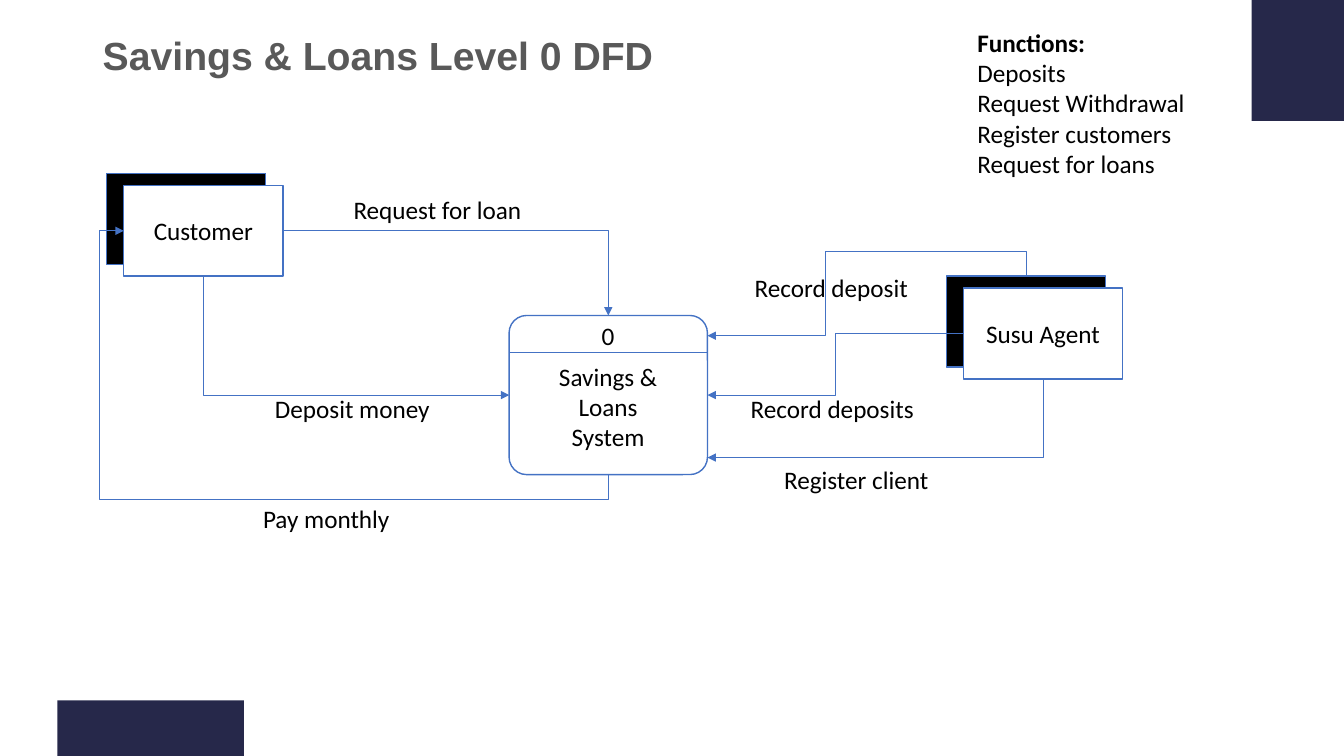
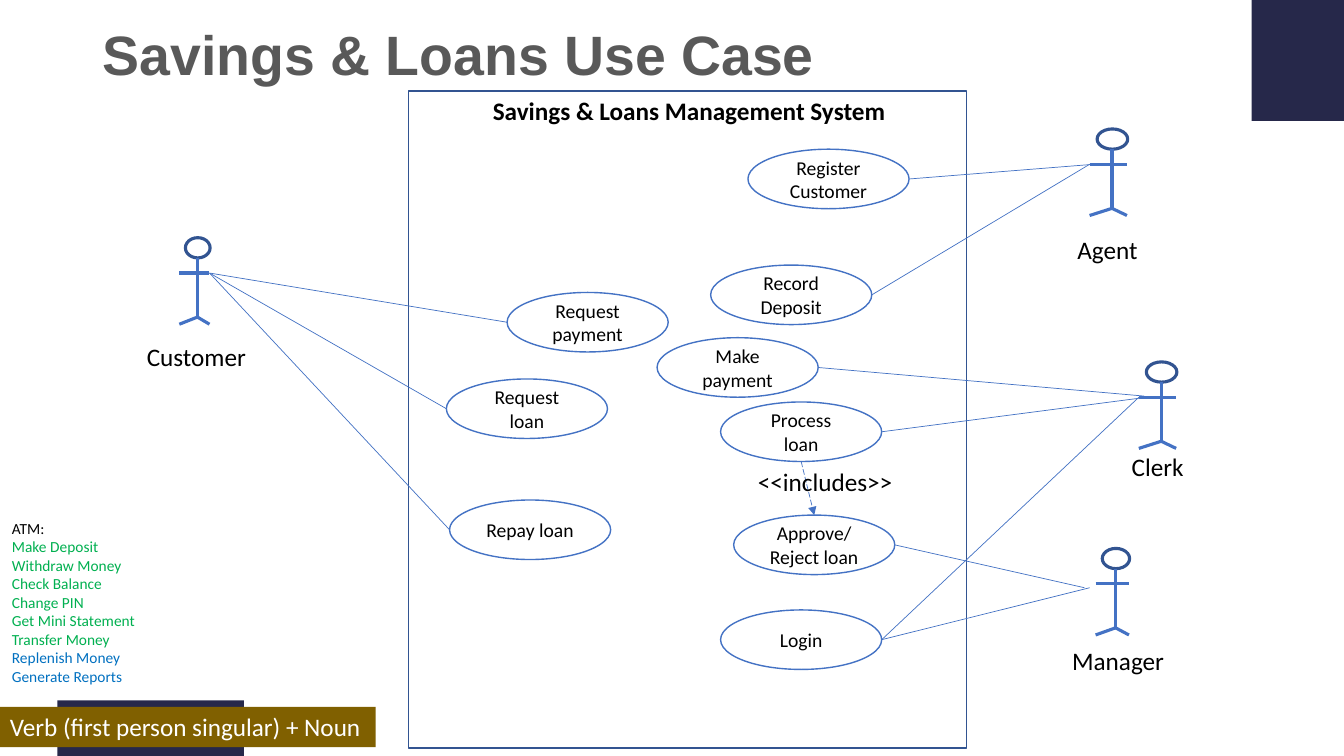
from dataclasses import dataclass

from lxml import etree
from pptx import Presentation, util as u
from pptx.dml import color
from pptx.enum import dml, shapes, text
from pptx.oxml import ns


@dataclass(frozen=True)
class Theme:
    """Colours, fonts and sizes shared by the slides."""
    navy: str = "26284A"
    grey: str = "595959"
    blue: str = "4472C4"
    dark_blue: str = "325491"
    black: str = "000000"
    white: str = "FFFFFF"
    olive: str = "806000"
    green: str = "00B050"
    sky: str = "0070C0"
    heading: str = "Arial"
    body: str = "Calibri"
    normal: float = 18
    small: float = 14
    tiny: float = 11
    thin: float = 0.5
    outline: float = 1
    thick: float = 2.25


THEME = Theme()
CENTRE = text.PP_ALIGN.CENTER
TOP, LEFT, BOTTOM, RIGHT = range(4)
BOX_SIZE = (4.01, 2.29)
CASE_SIZE = (4.06, 1.5)

FUNCTIONS = ["Deposits", "Request Withdrawal", "Register customers", "Request for loans"]
FLOW_LABELS = [
    ("Deposit money", 6.68, 9.78, 4.47),
    ("Request for loan", 8.66, 4.78, 4.8),
    ("Pay monthly", 6.38, 12.57, 3.73),
    ("Record deposits", 18.67, 9.78, 4.67),
    ("Record deposit", 18.77, 6.73, 4.42),
    ("Register client", 19.51, 11.58, 4.19),
]
ACTORS = [
    ("Customer", (4.52, 5.99, 0.76), (3.45, 8.48, 3.18)),
    ("Clerk", (28.7, 9.12, 0.94), (28.27, 11.25, 1.98)),
    ("Manager", (27.61, 13.82, 0.84), (26.77, 16.13, 3)),
    ("Agent", (27.46, 3.25, 0.94), (26.9, 5.77, 2.18)),
]
CUSTOMER_HAND = (5.28, 6.88)
USE_CASES = [
    ("Register Customer", 18.85, 3.76, RIGHT, [(27.56, 4.14)]),
    ("Record Deposit", 17.91, 6.68, RIGHT, [(27.46, 4.14)]),
    ("Request loan", 11.25, 9.55, LEFT, [CUSTOMER_HAND]),
    ("Request payment", 12.78, 7.37, LEFT, [CUSTOMER_HAND]),
    ("Process loan", 18.16, 10.13, RIGHT, [(28.9, 10.01)]),
    ("Approve/Reject loan", 18.49, 12.98, RIGHT, [(27.33, 14.81)]),
    ("Login", 18.16, 15.37, RIGHT, [(28.7, 10.01), (27.46, 14.81)]),
    ("Repay loan", 11.33, 12.6, LEFT, [CUSTOMER_HAND]),
    ("Make payment", 16.56, 8.51, RIGHT, [(28.83, 9.98)]),
]
ATM_CUSTOMER = ["Make Deposit", "Withdraw Money", "Check Balance", "Change PIN",
                "Get Mini Statement", "Transfer Money"]
ATM_STAFF = ["Replenish Money", "Generate Reports"]


def apply(target, values):
    """Set each named attribute on the target."""
    for name, value in values.items():
        setattr(target, name, value)


def rgb(value):
    """Return a colour object for a hex value."""
    return color.RGBColor.from_string(value)


def cm(*lengths):
    """Convert centimetre numbers to lengths."""
    return [u.Cm(length) for length in lengths]


def write(shape, lines, size=THEME.normal, font=THEME.body, align=None, spacing=None, **frame):
    """Write (words, colour, bold) lines into a shape, one paragraph each."""
    apply(shape.text_frame, frame)
    for index, (words, ink, bold) in enumerate(lines):
        paragraphs = shape.text_frame.paragraphs
        paragraph = shape.text_frame.add_paragraph() if index else paragraphs[0]
        apply(paragraph, {"alignment": align, "line_spacing": spacing})
        run = paragraph.add_run()
        run.text = words
        apply(run.font, {"size": u.Pt(size), "name": font, "bold": bold})
        run.font.color.rgb = rgb(ink)


def draw_shape(canvas, kind, box, fill, line=None, width=THEME.outline):
    """Draw a flat preset shape."""
    shape = canvas.add_shape(kind, *cm(*box))
    shape.shadow.inherit = False
    shape.fill.solid()
    shape.fill.fore_color.rgb = rgb(fill)
    if line:
        shape.line.color.rgb = rgb(line)
        shape.line.width = u.Pt(width)
    else:
        shape.line.fill.background()
    return shape


def write_centred(shape, words, size=THEME.normal):
    """Put black centred words in the middle of a shape."""
    write(shape, [(words, THEME.black, False)], size, align=CENTRE,
          word_wrap=True, vertical_anchor=text.MSO_ANCHOR.MIDDLE)


def add_label(slide, lines, left, top, width, height=1.02, size=THEME.normal):
    """Add an unwrapped text box; a plain string is one black line."""
    if isinstance(lines, str):
        lines = [(lines, THEME.black, False)]
    box = slide.shapes.add_textbox(*cm(left, top, width, height))
    write(box, lines, size, word_wrap=False, auto_size=text.MSO_AUTO_SIZE.SHAPE_TO_FIT_TEXT)


def style_line(connector, width=THEME.thin, arrow=False, dash=None):
    """Give a connector its colour, width, dash and arrowhead."""
    apply(connector.line, {"width": u.Pt(width), "dash_style": dash})
    connector.line.color.rgb = rgb(THEME.blue)
    properties = connector.element.spPr
    if arrow:
        etree.SubElement(properties.find(ns.qn("a:ln")), ns.qn("a:tailEnd"), type="triangle")
    etree.SubElement(properties, ns.qn("a:effectLst"))


def draw_line(canvas, begin, end, **style):
    """Draw a straight line between two points."""
    connector = canvas.add_connector(shapes.MSO_CONNECTOR.STRAIGHT, *cm(*begin, *end))
    style_line(connector, **style)


def side_point(shape, side):
    """Return the middle of a shape's side."""
    across = {LEFT: 0, RIGHT: 1}.get(side, 0.5)
    down = {TOP: 0, BOTTOM: 1}.get(side, 0.5)
    return int(shape.left + across * shape.width), int(shape.top + down * shape.height)


def draw_elbow(slide, source, target, bends, rotation=0, flip="", adjust=()):
    """Draw an arrow with bends from a (shape, side) to a (shape, side) or a point."""
    begin = side_point(*source)
    joined = not isinstance(target[0], (int, float))
    end = side_point(*target) if joined else cm(*target)
    connector = slide.shapes.add_connector(shapes.MSO_CONNECTOR.ELBOW, *begin, *end)
    connector.begin_connect(*source)
    if joined:
        connector.end_connect(*target)
    width, height = abs(end[0] - begin[0]), abs(end[1] - begin[1])
    if rotation % 180:
        width, height = height, width
    apply(connector, {
        "left": (begin[0] + end[0] - width) // 2,
        "top": (begin[1] + end[1] - height) // 2,
        "width": width,
        "height": height,
    })
    properties = connector.element.spPr
    apply(properties.xfrm, {"rot": rotation, "flipH": "h" in flip, "flipV": "v" in flip})
    properties.prstGeom.set("prst", f"bentConnector{bends + 1}")
    properties.prstGeom.rewrite_guides(
        [(f"adj{number}", int(value * 100000)) for number, value in enumerate(adjust, 1)])
    style_line(connector, arrow=True)


def draw_entity(slide, words, left, top):
    """Draw an external entity and return its back and front boxes."""
    kind = shapes.MSO_SHAPE.RECTANGLE
    back = draw_shape(slide.shapes, kind, (left - 0.43, top - 0.3, *BOX_SIZE),
                      THEME.black, THEME.blue)
    front = draw_shape(slide.shapes, kind, (left, top, *BOX_SIZE), THEME.white, THEME.blue)
    write_centred(front, words)
    return back, front


def draw_process(slide):
    """Draw the numbered process and return its outline."""
    left, top, width, height = 12.83, 7.95, 5, 4.01
    process = draw_shape(slide.shapes, shapes.MSO_SHAPE.ROUNDED_RECTANGLE,
                         (left, top, width, height), THEME.white, THEME.blue)
    process.adjustments[0] = 0.11
    draw_line(slide.shapes, (left, 8.89), (left + width, 8.89))
    add_label(slide, "0", 14.91, top, 0.84)
    name = slide.shapes.add_textbox(*cm(13.51, 8.97, 3.63, 2.57))
    write(name, [("Savings & Loans System", THEME.black, False)], align=CENTRE, word_wrap=True)
    return process


def draw_actor(slide, left, top, width):
    """Draw a stick figure as one group."""
    figure = slide.shapes.add_group_shape().shapes
    draw_shape(figure, shapes.MSO_SHAPE.OVAL, (left + 0.2 * width, top, 0.82 * width, 0.51),
               THEME.white, THEME.dark_blue, THEME.thick)
    middle, right = left + 0.6 * width, left + width
    neck, arms, hips, feet = (top + drop for drop in (0.51, 0.89, 2, 2.18))
    for begin, end in [
        ((middle, neck), (middle, hips)),
        ((middle, hips), (left, feet)),
        ((middle, hips), (right, feet)),
        ((left, arms), (right, arms)),
    ]:
        draw_line(figure, begin, end, width=THEME.thick)


def draw_use_case(slide, words, left, top, side, hands):
    """Draw a use case and its lines from the actors' hands."""
    width, height = CASE_SIZE
    case = draw_shape(slide.shapes, shapes.MSO_SHAPE.OVAL, (left, top, width, height),
                      THEME.white, THEME.blue)
    write_centred(case, words, THEME.small)
    edge = left + width if side == RIGHT else left
    for hand in hands:
        draw_line(slide.shapes, hand, (edge, top + height / 2))


def add_slide(presentation, title, size):
    """Add a blank slide with the shared bands and a title."""
    slide = presentation.slides.add_slide(presentation.slide_layouts[6])
    for band in [(31.54, 0, 2.33, 3.05), (1.45, 17.65, 4.7, 1.4)]:
        draw_shape(slide.shapes, shapes.MSO_SHAPE.RECTANGLE, band, THEME.navy)
    box = slide.shapes.add_textbox(*cm(2.34, 1.02, 29.21, 0.85))
    write(box, [(title, THEME.grey, True)], size, THEME.heading, spacing=0.9,
          word_wrap=True, vertical_anchor=text.MSO_ANCHOR.MIDDLE)
    return slide


def build_data_flow(presentation):
    """Build the data flow diagram."""
    slide = add_slide(presentation, "Savings & Loans Level 0 DFD", 28)
    process = draw_process(slide)
    functions = [("Functions:", THEME.black, True)]
    functions += [(words, THEME.black, False) for words in FUNCTIONS]
    add_label(slide, functions, 24.38, 0.56, 5.79, 5.64)
    _, customer = draw_entity(slide, "Customer", 3.12, 4.67)
    agent_back, agent = draw_entity(slide, "Susu Agent", 24.28, 7.26)
    draw_elbow(slide, (customer, BOTTOM), (process, LEFT), 1, 270, "h")
    draw_elbow(slide, (customer, RIGHT), (process, TOP), 1)
    draw_elbow(slide, (process, BOTTOM), (customer, LEFT), 3, 90, "h", (-0.1, 1.05))
    draw_elbow(slide, (agent, LEFT), (process, RIGHT), 2, 180, "v")
    draw_elbow(slide, (agent_back, TOP), (17.83, 8.46), 3, 270, "hv", (-0.42, 0.63))
    draw_elbow(slide, (agent, BOTTOM), (17.83, 11.53), 1, 90)
    for label in FLOW_LABELS:
        add_label(slide, *label)


def build_use_case(presentation):
    """Build the use case diagram."""
    slide = add_slide(presentation, "Savings & Loans Use Case", 39.6)
    draw_shape(slide.shapes, shapes.MSO_SHAPE.RECTANGLE, (10.29, 2.29, 14.07, 16.56),
               THEME.white, THEME.dark_blue)
    add_label(slide, [("Savings & Loans Management System", THEME.black, True)],
              12.17, 2.29, 10.49)
    for name, figure, label in ACTORS:
        draw_actor(slide, *figure)
        add_label(slide, name, *label)
    for case in USE_CASES:
        draw_use_case(slide, *case)
    draw_line(slide.shapes, (20.19, 11.63), (20.52, 12.98), arrow=True,
              dash=dml.MSO_LINE.LONG_DASH)
    add_label(slide, "<<includes>>", 18.85, 11.63, 3.94)
    banner = draw_shape(slide.shapes, shapes.MSO_SHAPE.RECTANGLE, (0, 17.81, 9.47, 1.02),
                        THEME.olive)
    write(banner, [("Verb (first person singular) + Noun", THEME.white, False)],
          align=text.PP_ALIGN.LEFT, word_wrap=False, vertical_anchor=text.MSO_ANCHOR.TOP)
    atm = [("ATM:", THEME.black, False)]
    atm += [(words, THEME.green, False) for words in ATM_CUSTOMER]
    atm += [(words, THEME.sky, False) for words in ATM_STAFF]
    add_label(slide, atm, 0.05, 12.95, 3.63, 4.5, THEME.tiny)


def main():
    """Build and save the presentation."""
    presentation = Presentation()
    apply(presentation, {"slide_width": u.Cm(33.87), "slide_height": u.Cm(19.05)})
    build_data_flow(presentation)
    build_use_case(presentation)
    presentation.save("out.pptx")


if __name__ == "__main__":
    main()
